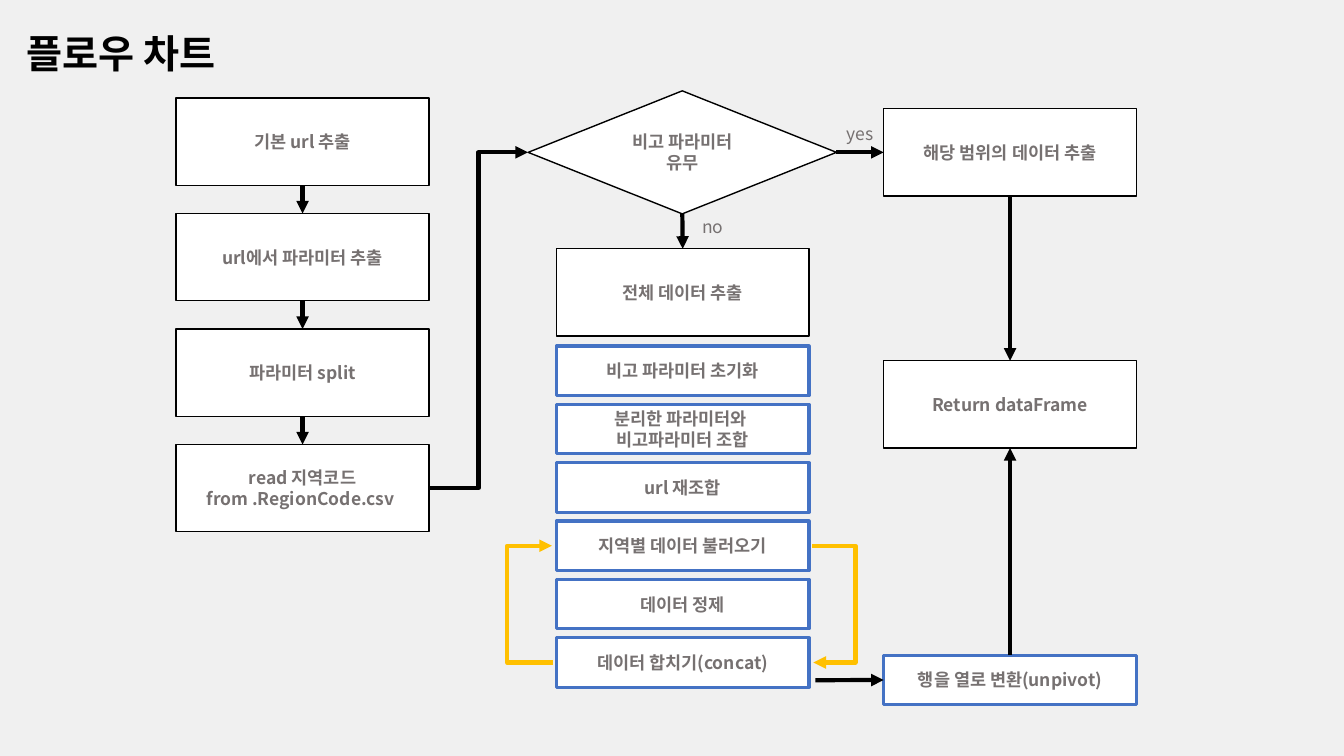
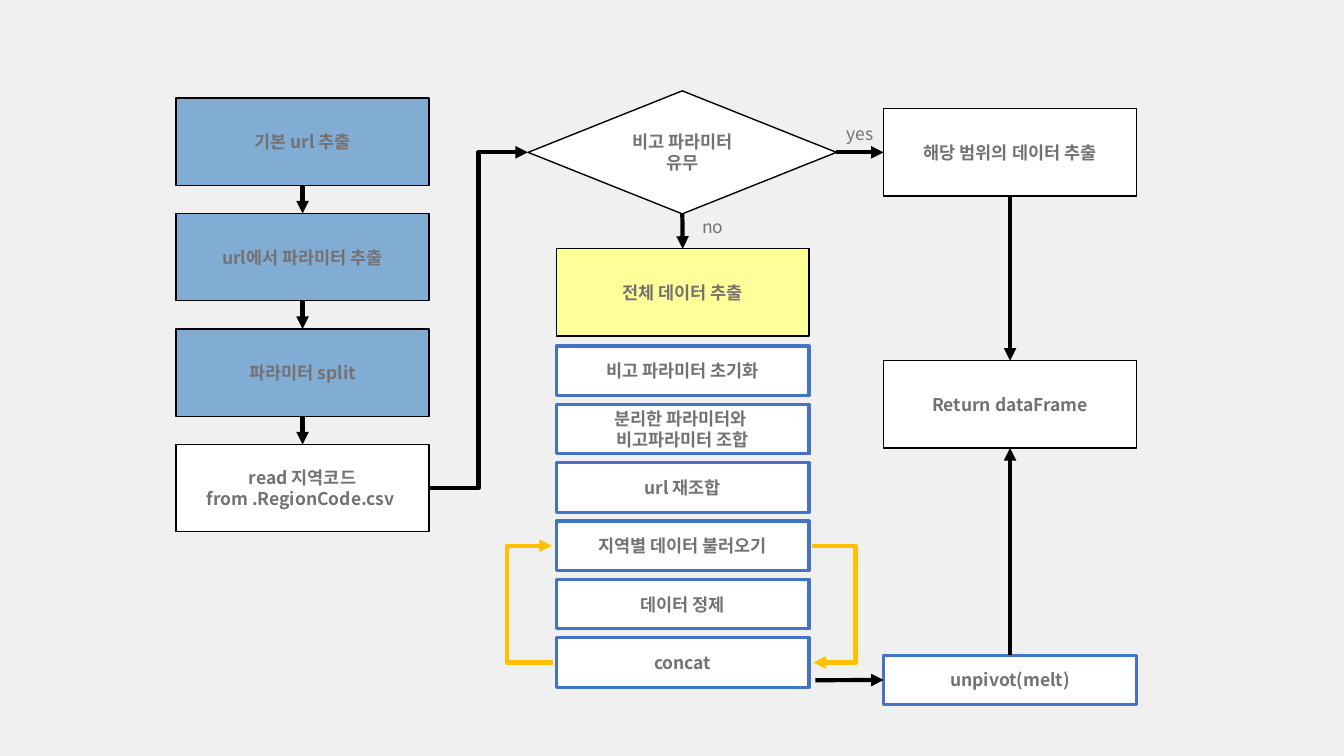
"""Build two flow chart slides that share one layout of boxes and arrows."""
from lxml import etree
from pptx import Presentation
from pptx.dml.color import RGBColor
from pptx.enum.shapes import MSO_CONNECTOR, MSO_SHAPE
from pptx.enum.text import MSO_ANCHOR, MSO_AUTO_SIZE, PP_ALIGN
from pptx.oxml.ns import qn
from pptx.util import Cm, Pt

RECTANGLE, DIAMOND = MSO_SHAPE.RECTANGLE, MSO_SHAPE.DIAMOND
STRAIGHT, ELBOW = MSO_CONNECTOR.STRAIGHT, MSO_CONNECTOR.ELBOW
LEFT, CENTER = PP_ALIGN.LEFT, PP_ALIGN.CENTER
TOP, MIDDLE = MSO_ANCHOR.TOP, MSO_ANCHOR.MIDDLE
FIT_SHAPE = MSO_AUTO_SIZE.SHAPE_TO_FIT_TEXT
TOP_SIDE, LEFT_SIDE, BOTTOM_SIDE, RIGHT_SIDE = range(4)

FONT = "Noto Sans CJK KR"
COLORS = {
    "background": "F0F0F0",
    "white": "FFFFFF",
    "black": "000000",
    "gray": "767171",
    "blue_line": "4472C4",
    "blue_fill": "81ADD5",
    "yellow_fill": "FFFF99",
    "loop": "FFC000",
}

BOX_WIDTH, BOX_HEIGHT, STEP_HEIGHT = 6.37, 2.2, 1.25
INPUT_LEFT, INPUT_TOP, INPUT_PITCH = 4.44, 2.47, 2.91
STEP_LEFT, STEP_TOP, STEP_PITCH = 14.02, 8.72, 1.47
RESULT_LEFT = 22.27

INPUT_TEXTS = [
    "기본 url 추출",
    "url에서 파라미터 추출",
    "파라미터 split",
    "read 지역코드 from .RegionCode.csv ",
]
STEP_TEXTS = [
    "비고 파라미터 초기화",
    "분리한 파라미터와 \n비고파라미터 조합",
    "url 재조합",
    "지역별 데이터 불러오기",
    "데이터 정제",
]
VARIANTS = [
    {"title": "플로우 차트", "input_fill": "white", "all_fill": "white",
     "concat": "데이터 합치기(concat)", "unpivot": "행을 열로 변환(unpivot)"},
    {"title": None, "input_fill": "blue_fill", "all_fill": "yellow_fill",
     "concat": "concat", "unpivot": "unpivot(melt)"},
]


def write_text(shape, text, size=12.5, color="gray", bold=False, align=LEFT, anchor=TOP):
    frame = shape.text_frame
    frame.word_wrap = True
    frame.vertical_anchor = anchor
    frame.text = text
    for paragraph in frame.paragraphs:
        paragraph.alignment = align
        for run in paragraph.runs:
            run.font.name = FONT
            run.font.size = Pt(size)
            run.font.bold = bold
            run.font.color.rgb = RGBColor.from_string(COLORS[color])
            etree.SubElement(run.font._element, qn("a:ea"), typeface=FONT)


def add_arrow(slide, kind, start=(0, 0), end=(0, 0), color="black", bend=None):
    points = [Cm(length) for length in (*start, *end)]
    arrow = slide.shapes.add_connector(kind, *points)
    arrow.line.width = Pt(3)
    arrow.line.color.rgb = RGBColor.from_string(COLORS[color])
    etree.SubElement(arrow.line._get_or_add_ln(), qn("a:tailEnd"), type="triangle")
    properties = arrow._element.spPr
    etree.SubElement(properties, qn("a:effectLst"))
    if bend is not None:
        ratio = round((bend - start[0]) / (end[0] - start[0]) * 100000)
        adjustments = properties.find(qn("a:prstGeom")).get_or_add_avLst()
        etree.SubElement(adjustments, qn("a:gd"), name="adj1", fmla=f"val {ratio}")
    return arrow


presentation = Presentation()
presentation.slide_width = Cm(33.87)
presentation.slide_height = Cm(19.05)
background = presentation.slide_master.background.fill
background.solid()
background.fore_color.rgb = RGBColor.from_string(COLORS["background"])

for variant in VARIANTS:
    slide = presentation.slides.add_slide(presentation.slide_layouts[6])

    box_rows = []
    for index, text in enumerate(INPUT_TEXTS):
        fill = variant["input_fill"] if index < 3 else "white"
        box_rows.append((f"input {index}", text, INPUT_LEFT,
                         INPUT_TOP + index * INPUT_PITCH, BOX_HEIGHT, fill))
    box_rows += [
        ("all data", "전체 데이터 추출", STEP_LEFT, 6.27, BOX_HEIGHT, variant["all_fill"]),
        ("range data", "해당 범위의 데이터 추출", RESULT_LEFT, 2.74, BOX_HEIGHT, "white"),
        ("return", "Return dataFrame", RESULT_LEFT, 9.09, BOX_HEIGHT, "white"),
        ("unpivot", variant["unpivot"], RESULT_LEFT, 16.51, STEP_HEIGHT, "white"),
    ]
    for index, text in enumerate([*STEP_TEXTS, variant["concat"]]):
        box_rows.append((f"step {index}", text, STEP_LEFT,
                         STEP_TOP + index * STEP_PITCH, STEP_HEIGHT, "white"))
    shape_rows = [(RECTANGLE, BOX_WIDTH, *row) for row in box_rows]
    shape_rows.append((DIAMOND, 7.77, "decision", "비고 파라미터 유무", 13.31, 2.29, 3.1, "white"))

    shapes = {}
    for kind, width, name, text, left, top, height, fill in shape_rows:
        shape = slide.shapes.add_shape(kind, Cm(left), Cm(top), Cm(width), Cm(height))
        is_step = height == STEP_HEIGHT
        shape.shadow.inherit = False
        shape.fill.solid()
        shape.fill.fore_color.rgb = RGBColor.from_string(COLORS[fill])
        shape.line.color.rgb = RGBColor.from_string(COLORS["blue_line" if is_step else "black"])
        shape.line.width = Pt(2.25 if is_step else 1)
        write_text(shape, text, bold=True, align=CENTER, anchor=MIDDLE)
        shapes[name] = shape

    links = [
        (STRAIGHT, f"input {index}", BOTTOM_SIDE, f"input {index + 1}", TOP_SIDE)
        for index in range(3)
    ]
    links += [
        (ELBOW, "input 3", RIGHT_SIDE, "decision", LEFT_SIDE),
        (STRAIGHT, "decision", BOTTOM_SIDE, "all data", TOP_SIDE),
        (STRAIGHT, "decision", RIGHT_SIDE, "range data", LEFT_SIDE),
        (STRAIGHT, "range data", BOTTOM_SIDE, "return", TOP_SIDE),
        (STRAIGHT, "unpivot", TOP_SIDE, "return", BOTTOM_SIDE),
    ]
    for kind, source, source_side, target, target_side in links:
        arrow = add_arrow(slide, kind)
        arrow.begin_connect(shapes[source], source_side)
        arrow.end_connect(shapes[target], target_side)

    unpivot_arrow = add_arrow(slide, STRAIGHT, (20.55, 17.14), (RESULT_LEFT, 17.14))
    unpivot_arrow.end_connect(shapes["unpivot"], LEFT_SIDE)

    load_y, concat_y = (STEP_TOP + index * STEP_PITCH + STEP_HEIGHT / 2 for index in (3, 5))
    add_arrow(slide, ELBOW, (20.47, load_y), (20.5, concat_y), color="loop", bend=21.56)
    add_arrow(slide, ELBOW, (13.94, concat_y), (13.91, load_y), color="loop", bend=12.78)

    for text, left, top in [("no", 17.45, 5.31), ("yes", 21.08, 2.97)]:
        label = slide.shapes.add_textbox(Cm(left), Cm(top), Cm(1.35), Cm(0.79))
        write_text(label, text)
        label.text_frame.auto_size = FIT_SHAPE

    if variant["title"]:
        title = slide.shapes.add_textbox(Cm(0.41), Cm(0.61), Cm(28.63), Cm(1.45))
        write_text(title, variant["title"], size=28, color="black", bold=True)
        title.text_frame.auto_size = FIT_SHAPE

presentation.save("out.pptx")
